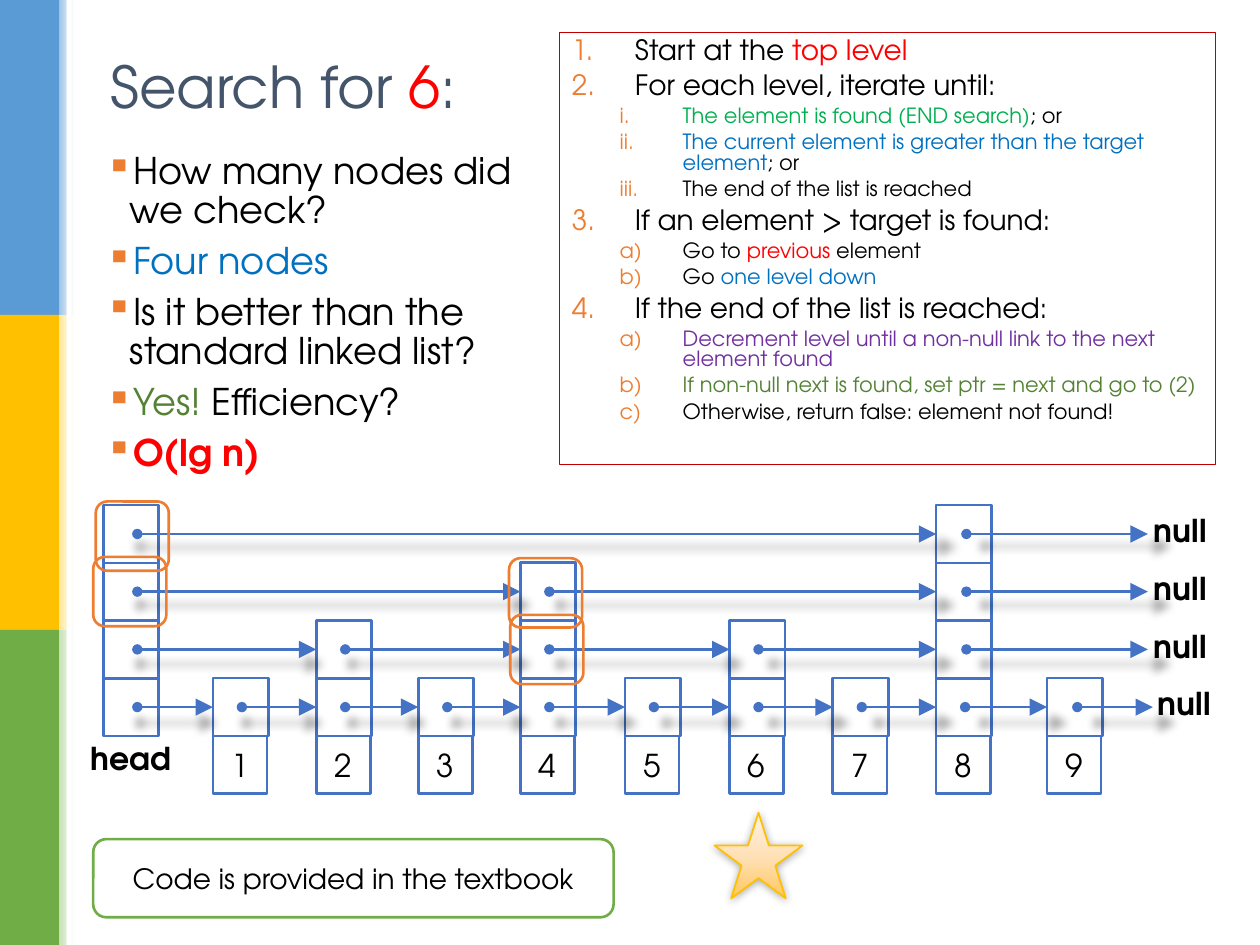
import dataclasses
import itertools
import typing

import lxml.etree
import pptx
import pptx.dml.color
import pptx.enum.shapes
import pptx.enum.text
import pptx.oxml
import pptx.oxml.ns
import pptx.util

SHAPE = pptx.enum.shapes.MSO_SHAPE
ANCHOR = pptx.enum.text.MSO_ANCHOR
CENTER = pptx.enum.text.PP_ALIGN.CENTER
FONT = "TeX Gyre Adventor"
BLACK, WHITE, RED, BLUE = "000000", "FFFFFF", "FF0000", "0070C0"
ORANGE, NODE_BLUE, GREEN, DARK_GREEN = "ED7D31", "4472C4", "70AD47", "548235"

deck = pptx.Presentation()
deck.slide_width = pptx.util.Inches(10)
deck.slide_height = pptx.util.Inches(7.5)
page = deck.slides.add_slide(deck.slide_layouts[6])
COLUMN = deck.slide_width // 100
ROW = deck.slide_height // 75


class Area(typing.NamedTuple):
    left: float
    top: float
    width: float
    height: float

    def lengths(self) -> list[int]:
        return [round(n * unit) for n, unit in zip(self, (COLUMN, ROW, COLUMN, ROW))]


class Span(typing.NamedTuple):
    text: str
    color: str = BLACK
    bold: bool = False


@dataclasses.dataclass
class Item:
    spans: list[Span]
    size: float
    bullet: str
    margin: float
    indent: float
    spacing: float
    level: int = 0


@dataclasses.dataclass
class Tower:
    label: str
    left: float
    height: int
    dot: float = 2.3


def rgb(value: str) -> pptx.dml.color.RGBColor:
    return pptx.dml.color.RGBColor.from_string(value)


def add_xml(parent, tag: str, **attributes):
    child = lxml.etree.SubElement(parent, pptx.oxml.ns.qn(f"a:{tag}"))
    for name, value in attributes.items():
        child.set(name, str(value))
    return child


def add_shadow(effects, scale: int) -> None:
    shadow = add_xml(effects, "outerShdw", blurRad=63500, dist=12700, dir=5400000,
                     sx=scale * 1000, sy=scale * 1000, rotWithShape=0)
    add_xml(add_xml(shadow, "srgbClr", val=BLACK), "alpha", val=32000)


def add_box(kind, area: Area, fill: str = "", line: str = "", weight: float = 1.5):
    box = page.shapes.add_shape(kind, *area.lengths())
    box.shadow.inherit = False
    if fill:
        box.fill.solid()
        box.fill.fore_color.rgb = rgb(fill)
    else:
        box.fill.background()
    if line:
        box.line.color.rgb = rgb(line)
        box.line.width = pptx.util.Pt(weight)
    else:
        box.line.fill.background()
    return box


def add_gradient(box, stops: list[tuple[int, str]], angle: int) -> None:
    box.fill.gradient()
    gradient = box.fill._xPr.find(pptx.oxml.ns.qn("a:gradFill"))
    for child in list(gradient):
        gradient.remove(child)
    stop_list = add_xml(gradient, "gsLst")
    for position, color in stops:
        add_xml(add_xml(stop_list, "gs", pos=position * 1000), "srgbClr", val=color)
    add_xml(gradient, "lin", ang=angle * 60000, scaled=0)


def style_span(run, size: float, span: Span) -> None:
    run.font.name = FONT
    run.font.size = pptx.util.Pt(size)
    run.font.bold = span.bold
    run.font.color.rgb = rgb(span.color)


def write_spans(para, spans: list[Span], size: float) -> None:
    for span in spans:
        run = para.add_run()
        run.text = span.text
        style_span(run, size, span)


def write_label(box, span: Span, size: float) -> None:
    box.text_frame.text = span.text
    box.text_frame.vertical_anchor = ANCHOR.MIDDLE
    para = box.text_frame.paragraphs[0]
    para.alignment = CENTER
    style_span(para.runs[0], size, span)


def add_text(area: Area, spans: list[Span], size: float, anchor=ANCHOR.TOP) -> None:
    frame = page.shapes.add_textbox(*area.lengths()).text_frame
    frame.word_wrap = False
    frame.vertical_anchor = anchor
    write_spans(frame.paragraphs[0], spans, size)


def write_list(box, items: list[Item]) -> None:
    frame = box.text_frame
    frame.word_wrap = True
    frame.vertical_anchor = ANCHOR.TOP
    for index, item in enumerate(items):
        para = frame.add_paragraph() if index else frame.paragraphs[0]
        para.level = item.level
        para.alignment = pptx.enum.text.PP_ALIGN.LEFT
        para.line_spacing = item.spacing
        para.space_before = pptx.util.Pt(item.size * 0.3 if index else 0)
        settings = para._p.get_or_add_pPr()
        settings.set("marL", str(round(item.margin * COLUMN)))
        settings.set("indent", str(round(-item.indent * COLUMN)))
        add_xml(add_xml(settings, "buClr"), "srgbClr", val=ORANGE)
        if len(item.bullet) == 1:
            add_xml(settings, "buChar", char=item.bullet)
        else:
            add_xml(settings, "buAutoNum", type=item.bullet)
        write_spans(para, item.spans, item.size)


def add_arrow(start: float, end: float, height: float) -> None:
    arrow = page.shapes.add_connector(
        pptx.enum.shapes.MSO_CONNECTOR.STRAIGHT,
        *Area(start, height, end, height).lengths())
    arrow.line.color.rgb = rgb(NODE_BLUE)
    arrow.line.width = pptx.util.Pt(1.5)
    line = arrow.line._get_or_add_ln()
    add_xml(line, "headEnd", type="oval")
    add_xml(line, "tailEnd", type="triangle", w="lg", len="lg")
    add_shadow(add_xml(arrow._element.spPr, "effectLst"), 102)


def step(*spans: Span) -> Item:
    return Item(list(spans), 16, "arabicPeriod", 5, 5, 0.8)


def substep(bullet: str, *spans: Span) -> Item:
    return Item(list(spans), 12, bullet, 8.8, 5, 0.8, 1)


def question(*spans: Span) -> Item:
    return Item(list(spans), 21, "▪", 1.9, 1.9, 0.9)


BANDS = [("5B9BD5", "9DC3E6"), ("FFC000", "FFE699"), (GREEN, "C5E0B4")]
for index, (color, tint) in enumerate(BANDS):
    add_box(SHAPE.RECTANGLE, Area(0, index * 25, 4.7, 25), color)
    edge = add_box(SHAPE.RECTANGLE, Area(4.7, index * 25, 1.2, 25))
    add_gradient(edge, [(0, tint), (100, WHITE)], 0)
add_box(SHAPE.RECTANGLE, Area(5.3, 0, 0.4, 75), WHITE)

ROMAN, LETTER = "romanLcPeriod", "alphaLcParenR"
write_list(add_box(SHAPE.RECTANGLE, Area(44.4, 2.6, 52.1, 34.3), line="C00000", weight=0.75), [
    step(Span("Start at the "), Span("top level", RED)),
    step(Span("For each level, iterate until:")),
    substep(ROMAN, Span("The element is found (END search)", "00B050"), Span("; or")),
    substep(ROMAN, Span("The current element is greater than the target element", BLUE), Span("; or")),
    substep(ROMAN, Span("The end of the list is reached")),
    step(Span("If an element > target is found:")),
    substep(LETTER, Span("Go to "), Span("previous", RED), Span(" element")),
    substep(LETTER, Span("Go "), Span("one level down", BLUE)),
    step(Span("If the end of the list is reached:")),
    substep(LETTER, Span("Decrement level until a non-null link to the next element found", "7030A0")),
    substep(LETTER, Span("If non-null next is found, set ptr = next and go to (2)", DARK_GREEN)),
    substep(LETTER, Span("Otherwise, return false: element not found!")),
])
add_text(Area(7.8, 3.4, 29.7, 6.8),
         [Span("Search for ", "44546A"), Span("6", RED), Span(":", "44546A")], 33, ANCHOR.MIDDLE)

LEFTS = [16.9, 25.1, 33.2, 41.3, 49.6, 57.9, 66.1, 74.3, 83.1]
HEIGHTS = [1, 2, 1, 3, 1, 2, 1, 4, 1]
towers = [Tower("", 8.2, 4, 2.7)]
towers += [Tower(str(n), left, height) for n, (left, height) in enumerate(zip(LEFTS, HEIGHTS), 1)]
LABEL_TOP, CELL = 58.4, 4.58
for tower in towers[1:]:
    cell = add_box(SHAPE.RECTANGLE, Area(tower.left, LABEL_TOP, 4.3, 4.6), WHITE, NODE_BLUE)
    write_label(cell, Span(tower.label), 18)
for level in range(4):
    top = LABEL_TOP - CELL * (level + 1)
    linked = [tower for tower in towers if tower.height > level]
    for tower in linked:
        add_box(SHAPE.RECTANGLE, Area(tower.left, top, 4.4, 4.6), WHITE, NODE_BLUE)
    for tower, following in itertools.pairwise(linked):
        add_arrow(tower.left + tower.dot, following.left, top + 2.3)
    add_arrow(linked[-1].left + 2.4, 91.1 if level else 91.5, top + 2.3)
    add_text(Area(90.6 if level else 90.9, top, 6.3, 4), [Span("null", bold=True)], 18)
add_text(Area(6.2, 58.2, 8.7, 4), [Span("head", bold=True)], 18)

for left, top in [(7.6, 39.8), (7.4, 44.2), (40.4, 44.3), (40.5, 48.8)]:
    add_box(SHAPE.ROUNDED_RECTANGLE, Area(left, top, 5.8, 5.5), line=ORANGE)

star = add_box(SHAPE.STAR_5_POINT, Area(56.7, 64.5, 7, 6.8), line="FFC000", weight=1)
add_gradient(star, [(0, "FFC75E"), (48, "FFE0B6"), (100, "FFF2E2")], 270)
add_shadow(star._element.spPr.find(pptx.oxml.ns.qn("a:effectLst")), 100)

write_list(page.shapes.add_textbox(*Area(7.4, 11.6, 36.9, 29.3).lengths()), [
    question(Span("How many nodes did we check?")),
    question(Span("Four nodes", BLUE)),
    question(Span("Is it better than the standard linked list?")),
    question(Span("Yes! ", DARK_GREEN), Span("Efficiency?")),
    question(Span("O(lg n)", RED, True)),
])
note = add_box(SHAPE.ROUNDED_RECTANGLE, Area(7.4, 66.6, 41.3, 6.2), WHITE, GREEN)
write_label(note, Span("Code is provided in the textbook"), 16)

deck.save("out.pptx")
